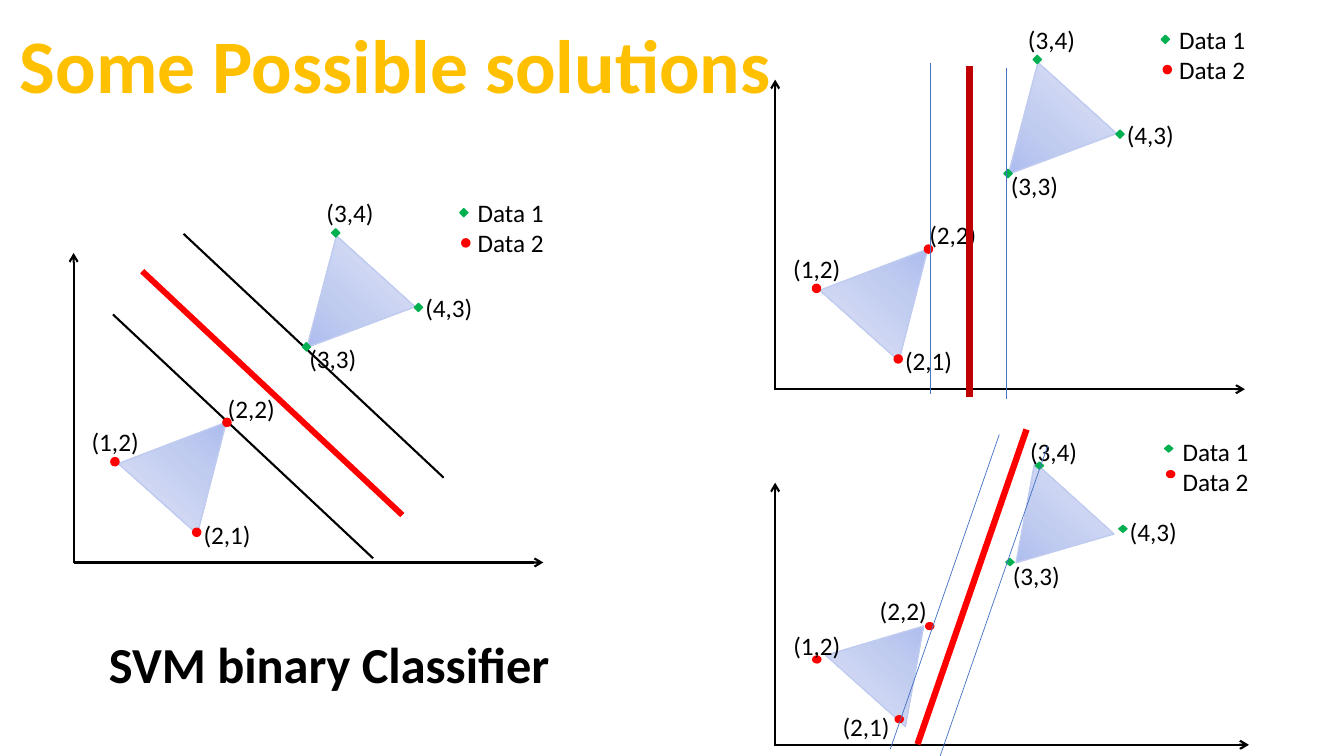
import copy

import pptx
import pptx.dml.color
import pptx.enum.shapes
import pptx.enum.text
import pptx.oxml
import pptx.oxml.ns
import pptx.util

Pt = pptx.util.Pt
RGBColor = pptx.dml.color.RGBColor
SHAPES = pptx.enum.shapes.MSO_SHAPE
qn = pptx.oxml.ns.qn

BLACK = RGBColor(0x00, 0x00, 0x00)
RED = RGBColor(0xFF, 0x00, 0x00)
DARK_RED = RGBColor(0xC0, 0x00, 0x00)
GREEN = RGBColor(0x00, 0xB0, 0x50)
BLUE = RGBColor(0x44, 0x72, 0xC4)
GOLD = RGBColor(0xFF, 0xC0, 0x00)
HULL_EDGE = RGBColor(0xC0, 0xCB, 0xF0)
HULL_STOPS = [(0, RGBColor(0x96, 0xAB, 0xEA)), (0.5, HULL_EDGE),
              (1, RGBColor(0xE0, 0xE5, 0xF7))]

FONT = "Calibri"
# Size of the plot on which the offsets below are measured
PLOT_WIDTH, PLOT_HEIGHT = 335.5, 265
MARKER = 5.8

# Per class: marker form, colour, hull (left, top, rotation),
# points as (label, marker left and top, label left and top)
DATA_1 = (SHAPES.DIAMOND, GREEN, (153.4, 46.8, 222.1), [
    ("(3,3)", 163.4, 107.3, 161.3, 104.4),
    ("(4,3)", 243.4, 79.2, 244.1, 67.7),
    ("(3,4)", 184.3, 25.9, 173.5, 0)])
DATA_2 = (SHAPES.OVAL, RED, (46.8, 154.8, 41.8), [
    ("(2,1)", 85, 239.8, 85.7, 229.7),
    ("(1,2)", 26.6, 189.4, 5.8, 163.4),
    ("(2,2)", 106.6, 161.3, 103, 139.7)])

# Per solution: shared run of its lines, then (start x, start y, colour, weight)
DIAGONAL = ((185.8, 174.2), [(28.1, 87.1, BLACK, 1.5),
                             (49, 56.2, RED, 4.25),
                             (78.5, 29.5, BLACK, 1.5)])
VERTICAL = ((0, 236.9), [(139, 33.1, DARK_RED, 5),
                         (164.9, 34.6, BLUE, 0.5),
                         (110.9, 31, BLUE, 0.5)])
STEEP = ((77.2, -265.5), [(81.5, 268.1, BLUE, 0.5),
                          (115.8, 277.4, BLUE, 0.5),
                          (100.8, 263.8, RED, 4.5)])
# Label shifts that keep the steep lines clear of the text
STEEP_SHIFTS = {"(2,2)": (-36, -6), "(2,1)": (-45, 2)}


def add_text(slide, box, lines, size, color=BLACK, bold=False, wrap=True, align=None):
    frame = slide.shapes.add_textbox(*map(Pt, box)).text_frame
    frame.word_wrap = wrap
    frame.auto_size = pptx.enum.text.MSO_AUTO_SIZE.SHAPE_TO_FIT_TEXT
    frame.text = "\n".join(lines)
    for paragraph in frame.paragraphs:
        paragraph.alignment = align
        paragraph.font.name = FONT
        paragraph.font.size = Pt(size)
        paragraph.font.bold = bold
        paragraph.font.color.rgb = color


def add_line(slide, ends, color, weight, arrow=False):
    line = slide.shapes.add_connector(
        pptx.enum.shapes.MSO_CONNECTOR.STRAIGHT, *map(Pt, ends))
    line.line.color.rgb = color
    line.line.width = Pt(weight)
    properties = line._element.spPr
    if arrow:
        head = pptx.oxml.parse_xml(
            f'<a:tailEnd {pptx.oxml.ns.nsdecls("a")} type="arrow"/>')
        properties.find(qn("a:ln")).append(head)
    properties.append(pptx.oxml.parse_xml(
        f'<a:effectLst {pptx.oxml.ns.nsdecls("a")}/>'))


def add_outlined(slide, form, box, edge):
    shape = slide.shapes.add_shape(form, *map(Pt, box))
    shape.shadow.inherit = False
    shape.line.color.rgb = edge
    shape.line.width = Pt(1)
    return shape


def add_marker(slide, form, box, color):
    marker = add_outlined(slide, form, box, color)
    marker.fill.solid()
    marker.fill.fore_color.rgb = color


def add_hull(slide, box, rotation):
    hull = add_outlined(slide, SHAPES.ISOSCELES_TRIANGLE, box, HULL_EDGE)
    hull.rotation = rotation
    hull.fill.gradient()
    hull.fill.gradient_angle = 270
    # The default gradient has two stops; a third goes between them
    stops = hull._element.spPr.find(qn("a:gradFill")).find(qn("a:gsLst"))
    stops.insert(1, copy.deepcopy(stops[0]))
    for stop, (position, color) in zip(hull.fill.gradient_stops, HULL_STOPS):
        stop.position = position
        stop.color.rgb = color


def draw_plot(slide, box, solution, lines_behind=False, label_shifts={}):
    left, top, width, height = box
    x_scale, y_scale = width / PLOT_WIDTH, height / PLOT_HEIGHT

    def at(x, y):
        return left + x * x_scale, top + y * y_scale

    def area(x, y, w, h):
        return (*at(x, y), w * x_scale, h * y_scale)

    def draw_separators():
        (run_x, run_y), separators = solution
        for x, y, color, weight in separators:
            add_line(slide, at(x, y) + at(x + run_x, y + run_y), color, weight)

    # Axes
    add_line(slide, at(0, 264.3) + at(PLOT_WIDTH, 264.3), BLACK, 1.5, arrow=True)
    add_line(slide, at(0, PLOT_HEIGHT) + at(0, 43.2), BLACK, 1.5, arrow=True)

    # Hulls of the two classes
    for _, _, (x, y, rotation), _ in (DATA_2, DATA_1):
        add_hull(slide, area(x, y, 75.6, 73.4), rotation)
        if lines_behind and rotation == DATA_2[2][2]:
            draw_separators()

    # Points and their labels
    for form, color, _, points in (DATA_2, DATA_1):
        for label, x, y, label_x, label_y in points:
            shift_x, shift_y = label_shifts.get(label, (0, 0))
            add_marker(slide, form, area(x, y, MARKER, MARKER), color)
            add_text(slide, area(label_x + shift_x, label_y + shift_y, 59.8, 28.8),
                     [label], 18)

    # Legend
    add_marker(slide, SHAPES.OVAL, area(277.2, 33.1, MARKER, MARKER), RED)
    add_marker(slide, SHAPES.DIAMOND, area(275.8, 11.5, MARKER, MARKER), GREEN)
    add_text(slide, area(281.5, 0, 77.8, 51.1), ["Data 1", "Data 2"], 18)

    if not lines_behind:
        draw_separators()


def draw_headings(slide, title_box, caption_box):
    add_text(slide, caption_box, ["SVM binary Classifier"], 36, bold=True, wrap=False)
    add_text(slide, title_box, ["Some Possible solutions"], 54, GOLD, bold=True,
             wrap=False, align=pptx.enum.text.PP_ALIGN.CENTER)


def main():
    presentation = pptx.Presentation()
    presentation.slide_width, presentation.slide_height = Pt(960), Pt(540)
    slide = presentation.slides.add_slide(presentation.slide_layouts[6])

    draw_plot(slide, (52.6, 137.5, PLOT_WIDTH, PLOT_HEIGHT), DIAGONAL, lines_behind=True)
    draw_plot(slide, (553.7, 13.7, PLOT_WIDTH, PLOT_HEIGHT), VERTICAL)
    draw_plot(slide, (553.7, 308.2, 338.4, 224.4), STEEP, label_shifts=STEEP_SHIFTS)
    draw_headings(slide, (4.3, 9.4, 556.6, 72.7), (70.6, 448.6, 332.6, 51.1))

    presentation.save("out.pptx")


if __name__ == "__main__":
    main()
